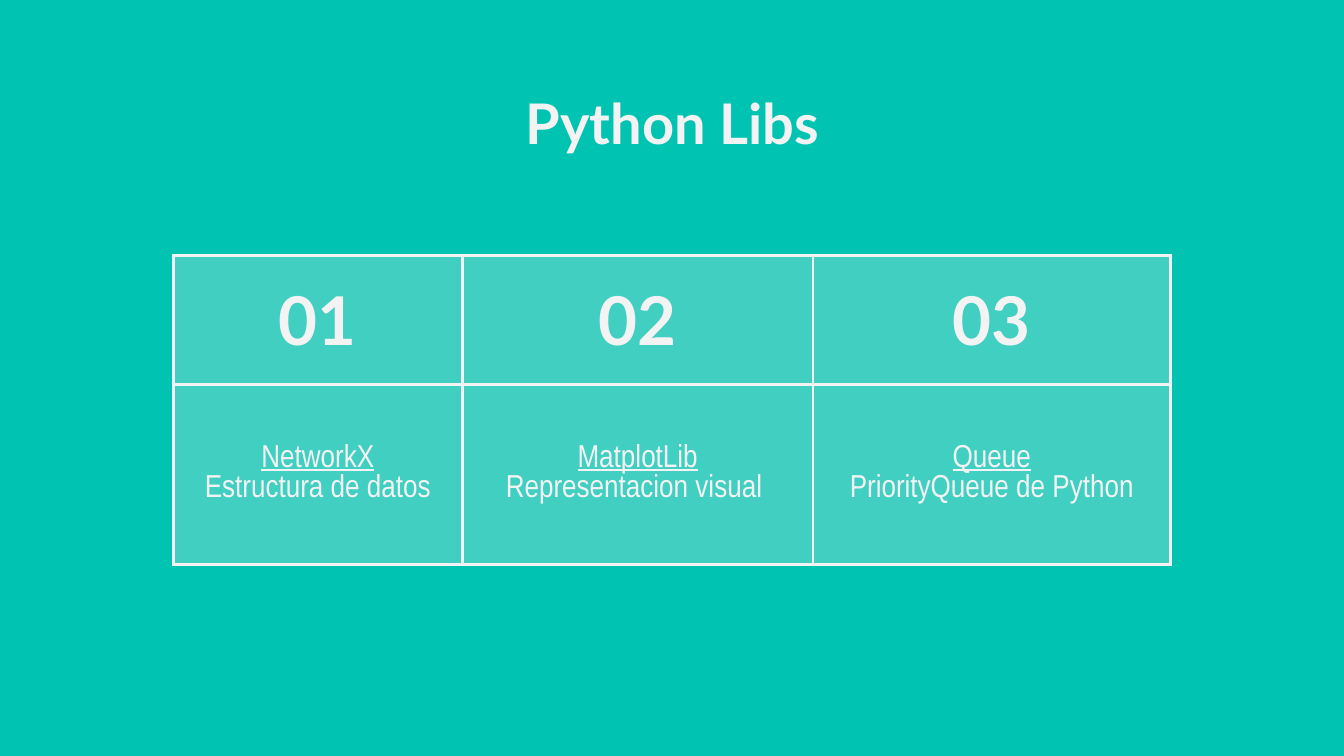
from dataclasses import dataclass

from lxml import etree
from pptx import Presentation
from pptx import util as u
from pptx.dml.color import RGBColor
from pptx.enum import text
from pptx.oxml import ns


@dataclass(frozen=True)
class Theme:
    background: str = "00C3B1"
    light: str = "F3F3F3"
    cell_opacity: int = 27
    border: float = 1.5
    heading_font: str = "Lato"
    body_font: str = "Arial Narrow"
    title_size: int = 30
    number_size: int = 36
    body_size: int = 17


THEME = Theme()
LIBRARIES = [
    ("01", "NetworkX", "Estructura de datos"),
    ("02", "MatplotLib", "Representacion visual "),
    ("03", "Queue", "PriorityQueue de Python"),
]


def write(para, words, *, size, font, bold=False, underline=False):
    para.alignment = text.PP_ALIGN.CENTER
    span = para.add_run()
    span.text = words
    span.font.size = u.Pt(size)
    span.font.name = font
    span.font.bold = bold
    span.font.underline = underline
    span.font.color.rgb = RGBColor.from_string(THEME.light)


def set_margins(target, inches):
    for side in ("left", "right", "top", "bottom"):
        setattr(target, f"margin_{side}", u.Inches(inches))


def style_cell(cell):
    set_margins(cell, 0.12)
    cell.vertical_anchor = text.MSO_ANCHOR.MIDDLE
    cell.fill.solid()
    cell.fill.fore_color.rgb = RGBColor.from_string(THEME.light)
    properties = cell._tc.get_or_add_tcPr()
    color = properties.find(ns.qn("a:solidFill")).find(ns.qn("a:srgbClr"))
    etree.SubElement(color, ns.qn("a:alpha"), val=str(THEME.cell_opacity * 1000))
    for index, edge in enumerate(("a:lnL", "a:lnR", "a:lnT", "a:lnB")):
        line = etree.Element(ns.qn(edge), w=str(u.Pt(THEME.border)))
        fill = etree.SubElement(line, ns.qn("a:solidFill"))
        etree.SubElement(fill, ns.qn("a:srgbClr"), val=THEME.light)
        properties.insert(index, line)


def add_title(page, left, top, width, height, words):
    box = page.shapes.add_textbox(*map(u.Inches, (left, top, width, height)))
    frame = box.text_frame
    frame.word_wrap = True
    frame.vertical_anchor = text.MSO_ANCHOR.TOP
    set_margins(frame, 0.1)
    write(frame.paragraphs[0], words, size=THEME.title_size,
          font=THEME.heading_font, bold=True)


def add_library_table(page, left, top, widths, heights):
    area = (left, top, sum(widths), sum(heights))
    table = page.shapes.add_table(
        len(heights), len(widths), *map(u.Inches, area)).table
    table.first_row = table.horz_banding = False
    for column, width in zip(table.columns, widths):
        column.width = u.Inches(width)
    for row, height in zip(table.rows, heights):
        row.height = u.Inches(height)
    for cell in table.iter_cells():
        style_cell(cell)
    for index, (number, name, purpose) in enumerate(LIBRARIES):
        write(table.cell(0, index).text_frame.paragraphs[0], number,
              size=THEME.number_size, font=THEME.heading_font, bold=True)
        frame = table.cell(1, index).text_frame
        write(frame.paragraphs[0], name, size=THEME.body_size,
              font=THEME.body_font, underline=True)
        write(frame.add_paragraph(), purpose, size=THEME.body_size,
              font=THEME.body_font)


def main():
    deck = Presentation()
    deck.slide_width = u.Inches(10)
    deck.slide_height = deck.slide_width * 9 // 16
    page = deck.slides.add_slide(deck.slide_layouts[6])
    page.background.fill.solid()
    page.background.fill.fore_color.rgb = RGBColor.from_string(THEME.background)
    add_title(page, 0.79, 0.56, 8.43, 0.63, "Python Libs")
    add_library_table(page, 1.29, 1.9, (2.15, 2.61, 2.66), (0.96, 1.34))
    deck.save("out.pptx")


if __name__ == "__main__":
    main()
